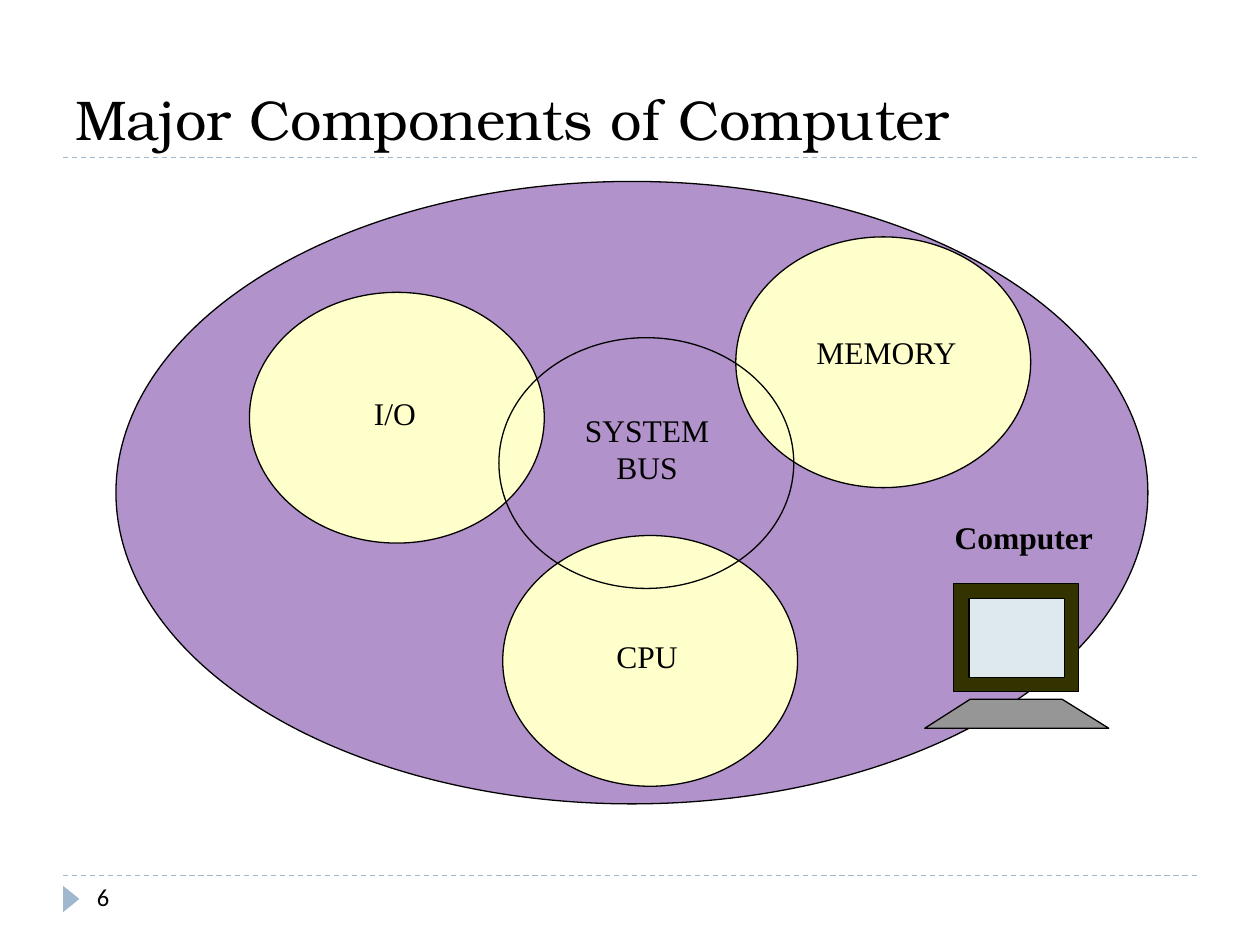
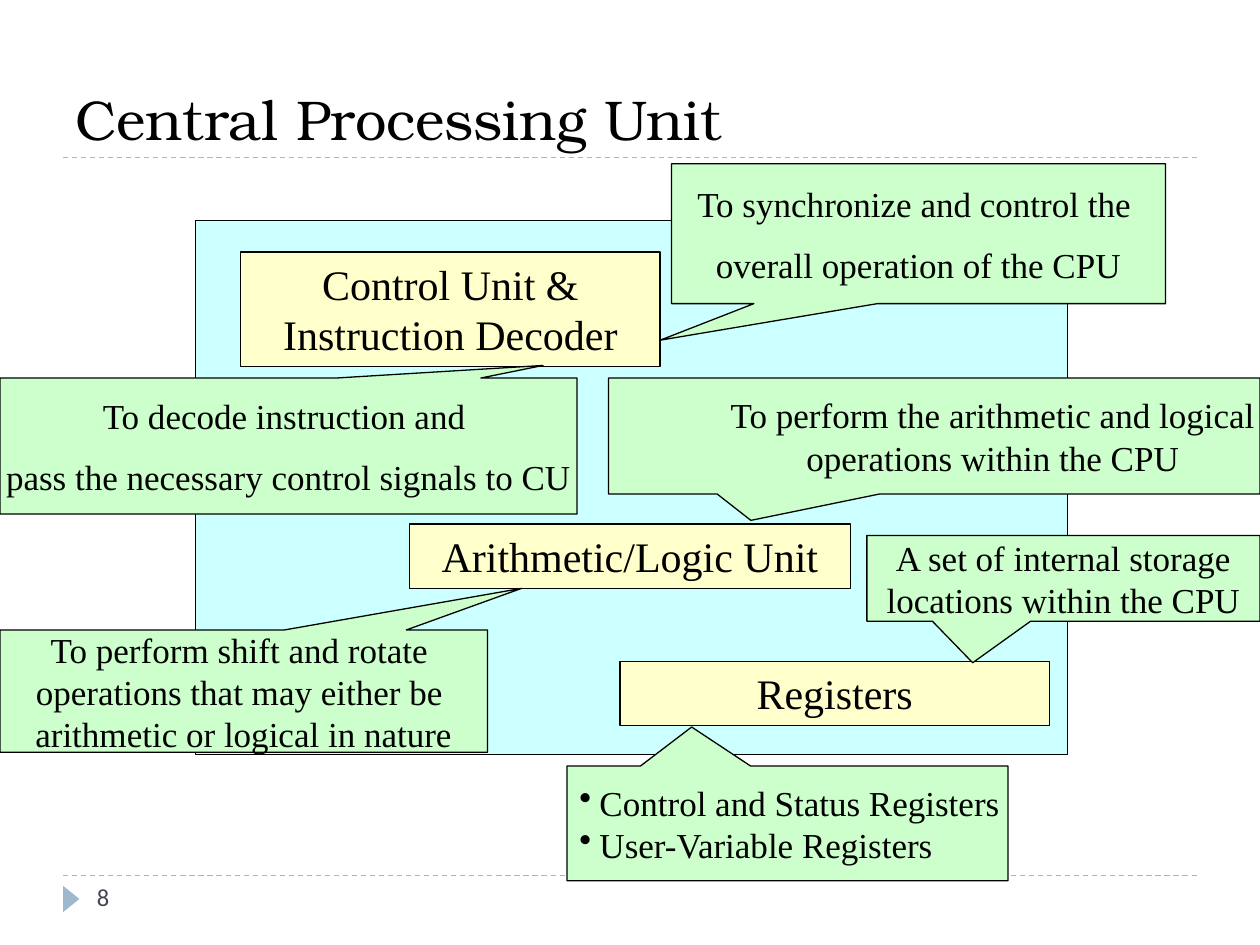
from dataclasses import dataclass

import pptx
import pptx.dml.color
import pptx.enum.dml
import pptx.enum.shapes
import pptx.enum.text
import pptx.oxml.ns
import pptx.shapes.base
import pptx.slide
import pptx.text.text
import pptx.util
from lxml import etree

SCALE = 9144  # EMU in one px, 100 px to the inch
WIDE, HIGH = 1000, 750
HUES = {
    "ink": "000000",
    "slate": "464653",
    "rule": "9FB8CD",
    "violet": "B292CA",
    "cream": "FFFFCC",
    "aqua": "CCFFFF",
    "mint": "CCFFCC",
    "case": "333300",
    "glass": "DDE9EC",
    "base": "969696",
}
SERIF, HEAD, SANS = "Times New Roman", "TeX Gyre Bonum", "Calibri"
KIND = pptx.enum.shapes.MSO_SHAPE
ALIGN = pptx.enum.text.PP_ALIGN
ANCHOR = pptx.enum.text.MSO_ANCHOR


@dataclass(frozen=True)
class Box:
    x: int
    y: int
    w: int
    h: int

    def emu(self) -> list[int]:
        return [px(side) for side in (self.x, self.y, self.w, self.h)]


@dataclass(frozen=True)
class Style:
    size: int
    face: str = SERIF
    hue: str = "ink"
    bold: bool = False
    align: ALIGN = ALIGN.CENTER
    anchor: ANCHOR = ANCHOR.TOP
    wrap: bool = True
    gap: int = 0      # points before each paragraph but the first
    inset: int = 0    # left margin in px
    bullet: bool = False


@dataclass(frozen=True)
class Disc:
    text: str
    x: int
    y: int
    label: Box
    fill: str | None = "cream"


@dataclass(frozen=True)
class Unit:
    text: str
    box: Box


@dataclass(frozen=True)
class Note:
    lines: tuple[str, ...]
    box: Box
    tip: tuple[int, int]
    style: Style


TITLE = Style(32, HEAD, align=ALIGN.LEFT, anchor=ANCHOR.BOTTOM)
LABEL = Style(18)
STRONG = Style(18, bold=True)
UNIT = Style(24)
TIGHT = Style(20, anchor=ANCHOR.MIDDLE, wrap=False)
LOOSE = Style(20, anchor=ANCHOR.MIDDLE, wrap=False, gap=11)
SHIFT = Style(20, anchor=ANCHOR.MIDDLE, wrap=False, inset=100)
LIST = Style(20, align=ALIGN.LEFT, anchor=ANCHOR.MIDDLE, wrap=False,
             inset=16, bullet=True)

DISC_W, DISC_H = 234, 199
DISCS = [
    Disc("CPU", 399, 425, Box(435, 501, 157, 40)),
    Disc("MEMORY", 584, 188, Box(614, 259, 179, 40)),
    Disc("I/O", 198, 232, Box(235, 308, 157, 40)),
    Disc("SYSTEM BUS", 396, 268, Box(435, 321, 157, 71), None),
]
UNITS = [
    Unit("Control Unit & Instruction Decoder", Box(191, 200, 333, 91)),
    Unit("Arithmetic/Logic Unit", Box(325, 416, 350, 51)),
    Unit("Registers", Box(492, 525, 341, 51)),
]
NOTES = [
    Note(("To decode instruction and ",
          "pass the necessary control signals to CU"),
         Box(0, 300, 458, 108), (431, 290), LOOSE),
    Note(("To synchronize and control the ", "overall operation of the CPU"),
         Box(533, 130, 392, 111), (524, 270), LOOSE),
    Note(("To perform the arithmetic and logical ",
          "operations within the CPU "),
         Box(483, 300, 517, 92), (596, 413), SHIFT),
    Note(("To perform shift and rotate ", "operations that may either be ",
          "arithmetic or logical in nature"),
         Box(0, 500, 387, 97), (414, 467), TIGHT),
    Note(("Control and Status Registers", "User-Variable Registers"),
         Box(450, 608, 350, 91), (549, 577), LIST),
    Note(("A set of internal storage", "locations within the CPU"),
         Box(688, 425, 312, 68), (772, 526), TIGHT),
]


def px(count: int) -> int:
    return pptx.util.Emu(count * SCALE)


def tint(hue: str) -> pptx.dml.color.RGBColor:
    return pptx.dml.color.RGBColor.from_string(HUES[hue])


def paint(shape: pptx.shapes.base.BaseShape, fill: str | None,
          edge: str | None = "ink") -> None:
    shape.shadow.inherit = False
    if fill:
        shape.fill.solid()
        shape.fill.fore_color.rgb = tint(fill)
    else:
        shape.fill.background()
    if edge:
        shape.line.color.rgb = tint(edge)
        shape.line.width = pptx.util.Pt(0.75)
    else:
        shape.line.fill.background()


def indent(par: pptx.text.text._Paragraph, style: Style) -> None:
    """Set the left margin, and hang a bullet in it if the style has one."""
    props = par._p.get_or_add_pPr()
    props.set("marL", str(px(style.inset)))
    props.set("indent", str(-px(style.inset) if style.bullet else 0))
    if style.bullet:
        mark = etree.SubElement(props, pptx.oxml.ns.qn("a:buChar"))
        mark.set("char", "•")


def write(shape: pptx.shapes.base.BaseShape, style: Style,
          *lines: str) -> None:
    frame = shape.text_frame
    frame.word_wrap = style.wrap
    frame.vertical_anchor = style.anchor
    for i, line in enumerate(lines):
        par = frame.add_paragraph() if i else frame.paragraphs[0]
        par.text = line
        if style.inset:
            indent(par, style)
        par.alignment = style.align
        par.space_before = pptx.util.Pt(style.gap if i else 0)
        par.font.size = pptx.util.Pt(style.size)
        par.font.name = style.face
        par.font.bold = style.bold
        par.font.color.rgb = tint(style.hue)


def draw(slide: pptx.slide.Slide, kind: KIND, box: Box, fill: str | None,
         edge: str | None = "ink") -> pptx.shapes.base.BaseShape:
    shape = slide.shapes.add_shape(kind, *box.emu())
    paint(shape, fill, edge)
    return shape


def label(slide: pptx.slide.Slide, box: Box, style: Style, text: str) -> None:
    write(slide.shapes.add_textbox(*box.emu()), style, text)


def rule(slide: pptx.slide.Slide, y: int) -> None:
    line = slide.shapes.add_connector(
        pptx.enum.shapes.MSO_CONNECTOR.STRAIGHT,
        px(50), px(y), px(WIDE - 50), px(y))
    line.line.color.rgb = tint("rule")
    line.line.width = pptx.util.Pt(0.75)
    line.line.dash_style = pptx.enum.dml.MSO_LINE.DASH
    etree.SubElement(line._element.spPr, pptx.oxml.ns.qn("a:effectLst"))


def start(deck: pptx.Presentation, title: str, page: int,
          hue: str) -> pptx.slide.Slide:
    """Add a slide with the shared rules, page mark, title and number."""
    slide = deck.slides.add_slide(deck.slide_layouts[6])
    for y in (695, 125):
        rule(slide, y)
    mark = draw(slide, KIND.ISOSCELES_TRIANGLE, Box(46, 707, 21, 13),
                "rule", None)
    mark.rotation = 90
    label(slide, Box(50, 17, 900, 108), TITLE, title)
    label(slide, Box(67, 695, 217, 40),
          Style(14, SANS, hue, align=ALIGN.LEFT), str(page))
    return slide


def screen(slide: pptx.slide.Slide) -> None:
    """Draw the desktop computer: case, keyboard and glass."""
    draw(slide, KIND.RECTANGLE, Box(757, 463, 99, 86), "case")
    pen = slide.shapes.build_freeform(734, 578, scale=SCALE)
    pen.add_line_segments([(770, 555), (843, 555), (880, 578)])
    paint(pen.convert_to_shape(), "base")
    draw(slide, KIND.RECTANGLE, Box(769, 475, 76, 63), "glass")


def parts(deck: pptx.Presentation) -> None:
    slide = start(deck, "Major Components of Computer", 6, "ink")
    draw(slide, KIND.OVAL, Box(92, 144, 819, 494), "violet")
    label(slide, Box(722, 406, 181, 40), STRONG, "Computer")
    screen(slide)
    for disc in DISCS:
        draw(slide, KIND.OVAL, Box(disc.x, disc.y, DISC_W, DISC_H), disc.fill)
        label(slide, disc.label, LABEL, disc.text)


def callout(slide: pptx.slide.Slide, note: Note) -> None:
    box = note.box
    shape = draw(slide, KIND.RECTANGULAR_CALLOUT, box, "mint")
    shape.adjustments[0] = (note.tip[0] - box.x) / box.w - 0.5
    shape.adjustments[1] = (note.tip[1] - box.y) / box.h - 0.5
    write(shape, note.style, *note.lines)


def core(deck: pptx.Presentation) -> None:
    slide = start(deck, "Central Processing Unit", 8, "slate")
    draw(slide, KIND.RECTANGLE, Box(155, 175, 692, 424), "aqua")
    for unit in UNITS:
        write(draw(slide, KIND.RECTANGLE, unit.box, "cream"), UNIT, unit.text)
    for note in NOTES:
        callout(slide, note)


def main() -> None:
    deck = pptx.Presentation()
    deck.slide_width, deck.slide_height = px(WIDE), px(HIGH)
    parts(deck)
    core(deck)
    deck.save("out.pptx")


if __name__ == "__main__":
    main()
